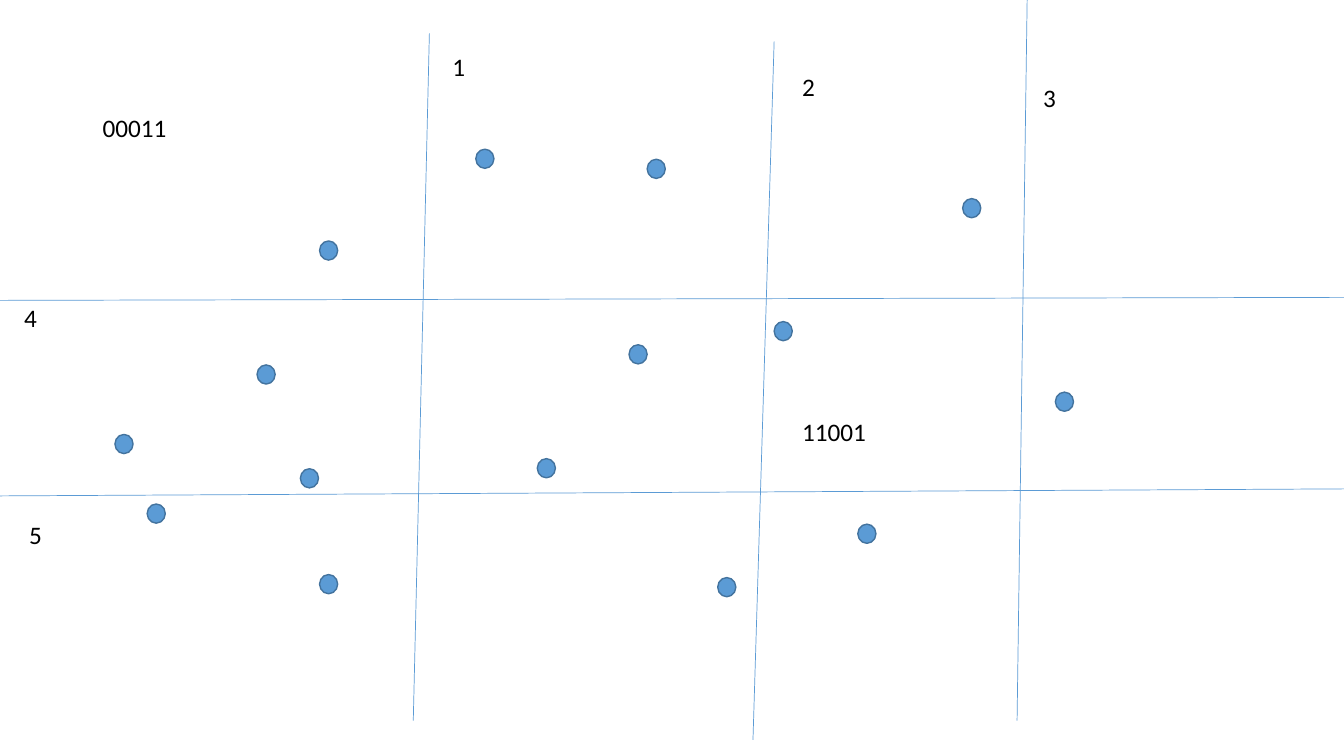
import lxml.etree
import pptx
import pptx.dml.color
import pptx.enum.shapes
import pptx.enum.text
import pptx.oxml.ns
import pptx.util

BLUE = pptx.dml.color.RGBColor(0x5B, 0x9B, 0xD5)
DARK_BLUE = pptx.dml.color.RGBColor(0x43, 0x73, 0x9E)
BLACK = pptx.dml.color.RGBColor(0, 0, 0)

COLUMNS, ROWS = 40, 30
DOT_WIDTH, DOT_HEIGHT = 0.54, 0.76
LABEL_HEIGHT = 1.6

DOTS = [
    (14.16, 5.92), (9.51, 9.56), (4.38, 20), (7.65, 14.48), (28.65, 7.88),
    (3.42, 17.24), (31.41, 15.56), (9.51, 22.8), (25.53, 20.8), (18.72, 13.68),
    (21.36, 22.92), (23.04, 12.76), (8.94, 18.6), (15.99, 18.2), (19.26, 6.32),
]
DIVIDERS = [
    (12.78, 1.32, 12.3, 28.6),
    (23.04, 1.64, 22.41, 29.36),
    (30.57, 0, 30.27, 28.6),
    (COLUMNS, 11.8, 0, 11.92),
    (COLUMNS, 19.4, 0, 19.68),
]
LABELS = [
    ("1", 13.17, 1.84, 1),
    ("2", 23.58, 2.64, 1),
    ("3", 30.75, 3.08, 1),
    ("4", 0.42, 11.8, 1),
    ("5", 0.57, 20.4, 1),
    ("00011", 2.76, 4.28, 2.52),
    ("11001", 23.58, 16.32, 2.52),
]


class CellMap:
    font_name = "Calibri"
    font_size = pptx.util.Pt(18)

    def __init__(self, deck):
        self.column = deck.slide_width / COLUMNS
        self.row = deck.slide_height / ROWS
        self.page = deck.slides.add_slide(deck.slide_layouts[6])

    def place(self, across, down):
        return round(across * self.column), round(down * self.row)

    def dot(self, left, top):
        oval = self.page.shapes.add_shape(
            pptx.enum.shapes.MSO_SHAPE.OVAL,
            *self.place(left, top), *self.place(DOT_WIDTH, DOT_HEIGHT))
        oval.shadow.inherit = False
        oval.fill.solid()
        oval.fill.fore_color.rgb = BLUE
        oval.line.color.rgb = DARK_BLUE
        oval.line.width = pptx.util.Pt(1)

    def divider(self, start_x, start_y, end_x, end_y):
        connector = self.page.shapes.add_connector(
            pptx.enum.shapes.MSO_CONNECTOR.STRAIGHT,
            *self.place(start_x, start_y), *self.place(end_x, end_y))
        connector.line.color.rgb = BLUE
        connector.line.width = pptx.util.Pt(0.5)
        lxml.etree.SubElement(
            connector._element.spPr, pptx.oxml.ns.qn("a:effectLst"))

    def label(self, text, left, top, width):
        box = self.page.shapes.add_textbox(
            *self.place(left, top), *self.place(width, LABEL_HEIGHT))
        frame = box.text_frame
        frame.word_wrap = False
        frame.auto_size = pptx.enum.text.MSO_AUTO_SIZE.SHAPE_TO_FIT_TEXT
        frame.text = text
        font = frame.paragraphs[0].font
        font.name = self.font_name
        font.size = self.font_size
        font.color.rgb = BLACK


def main():
    deck = pptx.Presentation()
    deck.slide_width = pptx.util.Inches(13.33)
    deck.slide_height = pptx.util.Inches(7.5)
    cells = CellMap(deck)
    for dot in DOTS:
        cells.dot(*dot)
    for divider in DIVIDERS:
        cells.divider(*divider)
    for label in LABELS:
        cells.label(*label)
    deck.save("out.pptx")


if __name__ == "__main__":
    main()
